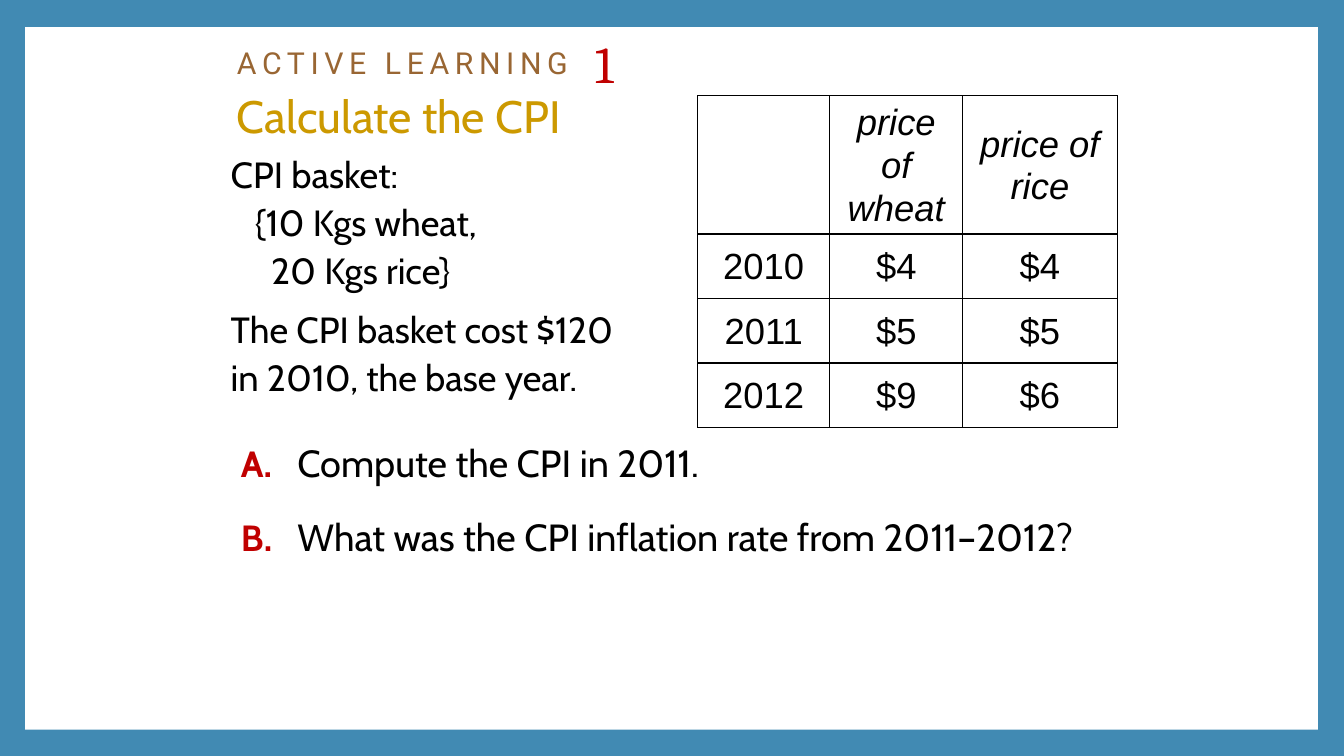
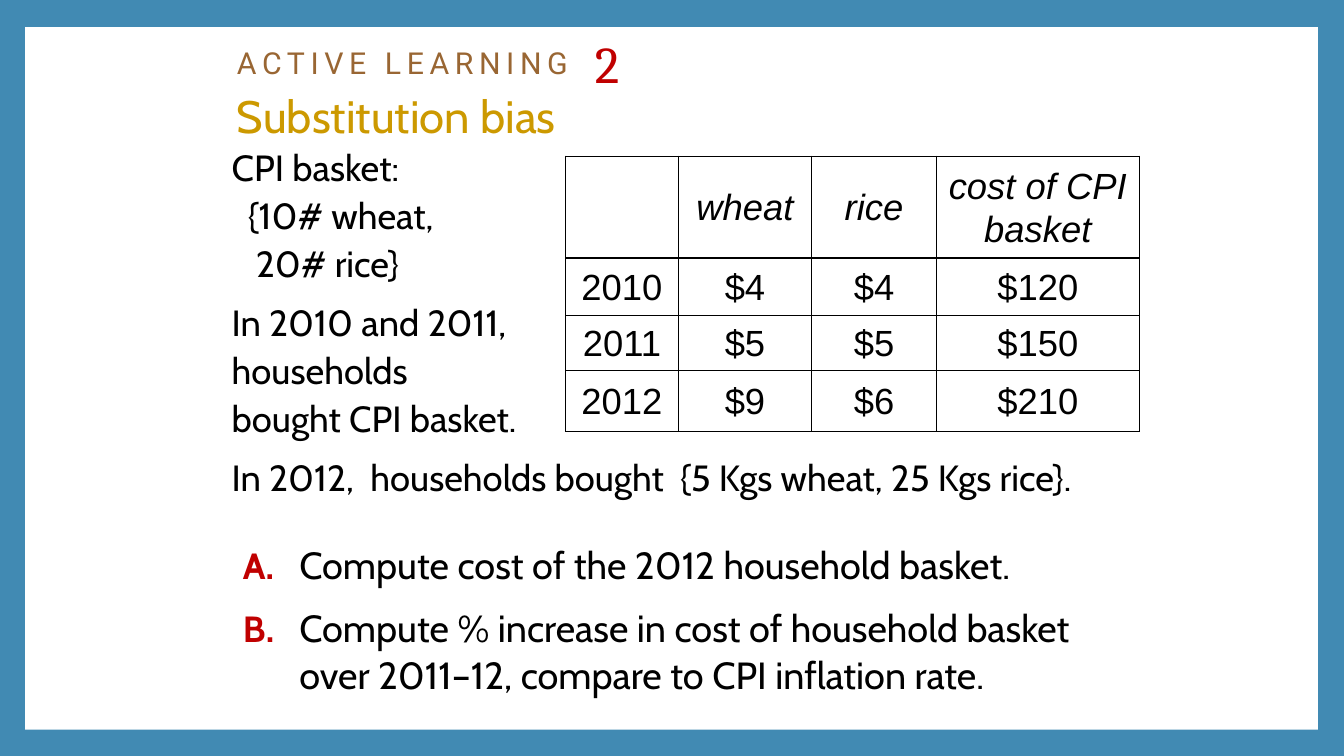
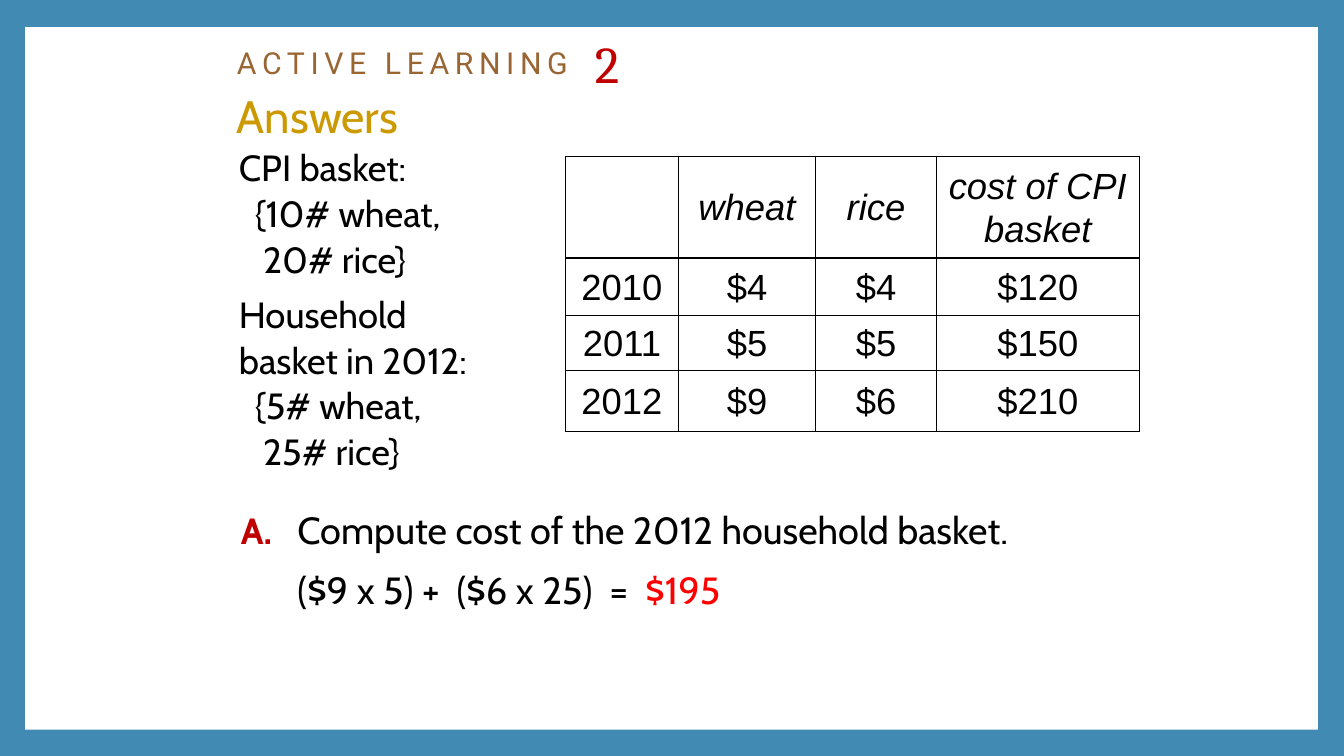
from lxml import etree
from pptx import Presentation
from pptx.dml.color import RGBColor
from pptx.enum import shapes, text
from pptx.oxml.ns import qn
from pptx.util import Inches, Pt

COLORS = {"frame": "418AB3", "panel": "FFFFFF", "ink": "000000", "kicker": "996633",
          "number": "C00000", "title": "CC9900", "result": "FF0000"}
BODY, NOTE_SIZE, LIST_SIZE = "Cabin", 26, 27
SPACE = 0.08  # indent step of the basket lines
HANG = 0.56   # hanging indent of the questions


def rgb(name):
    return RGBColor.from_string(COLORS[name])


def box(at):
    return [Inches(v) for v in at]


def add_run(p, words, size, font=BODY, color="ink", bold=False, italic=False):
    r = p.add_run()
    r.text = words
    f = r.font
    f.size, f.name, f.bold, f.italic = Pt(size), font, bold, italic
    f.color.rgb = rgb(color)
    return r


def add_break(p, size):
    p.add_line_break()
    etree.SubElement(p._p[-1], qn("a:rPr"), sz=str(round(size * 100)))


def next_paragraph(tf, first, spacing, before=0):
    p = tf.paragraphs[0] if first else tf.add_paragraph()
    p.line_spacing, p.space_before = spacing, Pt(before)
    return p


def set_indent(p, left, hanging=0):
    pPr = p._p.get_or_add_pPr()
    pPr.set("marL", str(Inches(left)))
    pPr.set("indent", str(-Inches(hanging)))
    return pPr


def place(sp, at):
    sp.left, sp.top, sp.width, sp.height = box(at)
    tf = sp.text_frame
    tf.word_wrap, tf.auto_size = True, text.MSO_AUTO_SIZE.NONE
    return tf


# Blue frame and white panel, shared through the master
def style_master(prs, s):
    master = prs.slide_master
    master.background.fill.solid()
    master.background.fill.fore_color.rgb = rgb("frame")
    panel = s.shapes.add_shape(shapes.MSO_SHAPE.RECTANGLE, *box((0.25, 0.27, 12.82, 6.97)))
    panel.shadow.inherit = False
    panel.fill.solid()
    panel.fill.fore_color.rgb = rgb("panel")
    panel.line.fill.background()
    master.shapes._spTree.insert(2, panel._element)


# Kicker with number, then the slide title
def add_title(s, number, title):
    tf = place(s.shapes.title, (2.25, 0.17, 8.98, 1.04))
    tf.vertical_anchor = text.MSO_ANCHOR.MIDDLE
    p = next_paragraph(tf, True, 0.9)
    p.alignment = text.PP_ALIGN.LEFT
    tabs = etree.SubElement(p._p.get_or_add_pPr(), qn("a:tabLst"))
    etree.SubElement(tabs, qn("a:tab"), pos=str(Inches(3.55)), algn="l")
    r = add_run(p, "ACTIVE LEARNING", 21.6, "Roboto", "kicker")
    r.font._element.set("spc", "400")
    add_run(p, "\t", 21.6, "Roboto", "kicker")
    r = add_run(p, number, 63.9, "Cambria", "number")
    r.font._element.set("baseline", "-10000")
    add_break(p, 21.6)
    add_run(p, title, 32.4, BODY, "title")


# Facts: each line is (text, indent steps, space before)
def add_notes(s, at, lines, spacing=1.1):
    tf = place(s.shapes.add_textbox(*box(at)), at)
    for i, (words, steps, before) in enumerate(lines):
        p = next_paragraph(tf, i == 0, spacing, before)
        set_indent(p, steps * SPACE)
        for j, part in enumerate(words.split("\n")):
            if j:
                add_break(p, NOTE_SIZE)
            add_run(p, part, NOTE_SIZE)


# Lettered questions; an item without a letter is a worked answer
def add_questions(s, at, items, before):
    tf = place(s.placeholders[1], at)
    for i, (letter, words, result) in enumerate(items):
        p = next_paragraph(tf, i == 0, 1.05, before)
        pPr = set_indent(p, HANG, HANG if letter else 0)
        etree.SubElement(pPr, qn("a:buNone"))
        if letter:
            add_run(p, letter + "\t", NOTE_SIZE, color="number", bold=True)
        add_run(p, words, LIST_SIZE)
        if result:
            add_run(p, result, LIST_SIZE, color="result")


def add_borders(cell):
    tcPr = cell._tc.get_or_add_tcPr()
    for side in ("lnL", "lnR", "lnT", "lnB"):
        ln = etree.SubElement(tcPr, qn("a:" + side), w=str(Pt(1)))
        fill = etree.SubElement(ln, qn("a:solidFill"))
        etree.SubElement(fill, qn("a:srgbClr"), val=COLORS["ink"])


# Price table with an italic header row
def add_prices(s, left, top, widths, heights, rows):
    frame = s.shapes.add_table(len(rows), len(widths),
                               *box((left, top, sum(widths), sum(heights))))
    table = frame.table
    table.first_row = table.horz_banding = False
    for col, width in zip(table.columns, widths):
        col.width = Inches(width)
    for i, (row, height) in enumerate(zip(rows, heights)):
        table.rows[i].height = Inches(height)
        for j, words in enumerate(row):
            cell = table.cell(i, j)
            add_borders(cell)
            cell.fill.solid()
            cell.fill.fore_color.rgb = rgb("panel")
            cell.vertical_anchor = text.MSO_ANCHOR.MIDDLE
            if words:
                p = next_paragraph(cell.text_frame, True, 1.05)
                p.alignment = text.PP_ALIGN.CENTER
                add_run(p, words, 26, "Arial", italic=i == 0)


PRICES = [("2010", "$4", "$4"), ("2011", "$5", "$5"), ("2012", "$9", "$6")]
COSTS = [("", "wheat", "rice", "cost of CPI basket")] + [
    row + (cost,) for row, cost in zip(PRICES, ("$120", "$150", "$210"))]
COST_HEIGHTS = (1.01, 0.57, 0.55, 0.6)
COST_QUESTION = ("A.", "Compute cost of the 2012 household basket.", "")
BASKET = [("CPI basket:", 0, 7.8), ("{10# wheat,", 2, 0), ("20# rice}", 3, 0)]


def calculate_slide(s):
    add_title(s, "1", "Calculate the CPI")
    add_notes(s, (2.19, 1.42, 4.47, 2.75), [
        ("CPI basket:", 0, 7.8), ("{10 Kgs wheat,", 3, 0), ("20 Kgs rice}", 5, 0),
        ("The CPI basket cost $120\nin 2010, the base year.", 0, 7.8)])
    add_questions(s, (2.29, 4.29, 8.99, 2.17), [
        ("A.", "Compute the CPI in 2011.", ""),
        ("B.", "What was the CPI inflation rate from 2011–2012?", "")], 18.9)
    add_prices(s, 6.92, 0.95, (1.31, 1.32, 1.53), (1.1, 0.64, 0.64, 0.64),
               [("", "price of wheat", "price of rice")] + PRICES)


def substitution_slide(s):
    add_title(s, "2", "Substitution bias")
    add_notes(s, (2.2, 1.35, 9.47, 4.11), BASKET + [
        ("In 2010 and 2011,\nhouseholds\nbought CPI basket.", 0, 7.8),
        ("In 2012,  households bought  {5 Kgs wheat, 25 Kgs rice}.", 0, 7.8)])
    add_prices(s, 5.61, 1.55, (1.12, 1.32, 1.24, 2.01), COST_HEIGHTS, COSTS)
    add_questions(s, (2.31, 5.3, 9.08, 1.85), [
        COST_QUESTION,
        ("B.", "Compute % increase in cost of household basket over 2011–12, "
               "compare to CPI inflation rate.", "")], 10.8)


def answers_slide(s):
    add_title(s, "2", "Answers")
    add_questions(s, (2.29, 4.95, 9.08, 1.71), [
        COST_QUESTION, ("", "($9 x 5) +  ($6 x 25)  =  ", "$195")], 9.45)
    add_notes(s, (2.27, 1.37, 2.89, 3.5), BASKET + [
        ("Household\nbasket in 2012:", 0, 6.5),
        ("{5# wheat,", 2, 0), ("25# rice}", 3, 0)], 1.05)
    add_prices(s, 5.61, 1.55, (1.12, 1.36, 1.2, 2.01), COST_HEIGHTS, COSTS)


def main():
    prs = Presentation()
    prs.slide_width, prs.slide_height = Inches(13.33), Inches(7.5)
    for i, build in enumerate((calculate_slide, substitution_slide, answers_slide)):
        s = prs.slides.add_slide(prs.slide_layouts[1])
        if i == 0:
            style_master(prs, s)
        build(s)
    prs.save("out.pptx")


if __name__ == "__main__":
    main()
